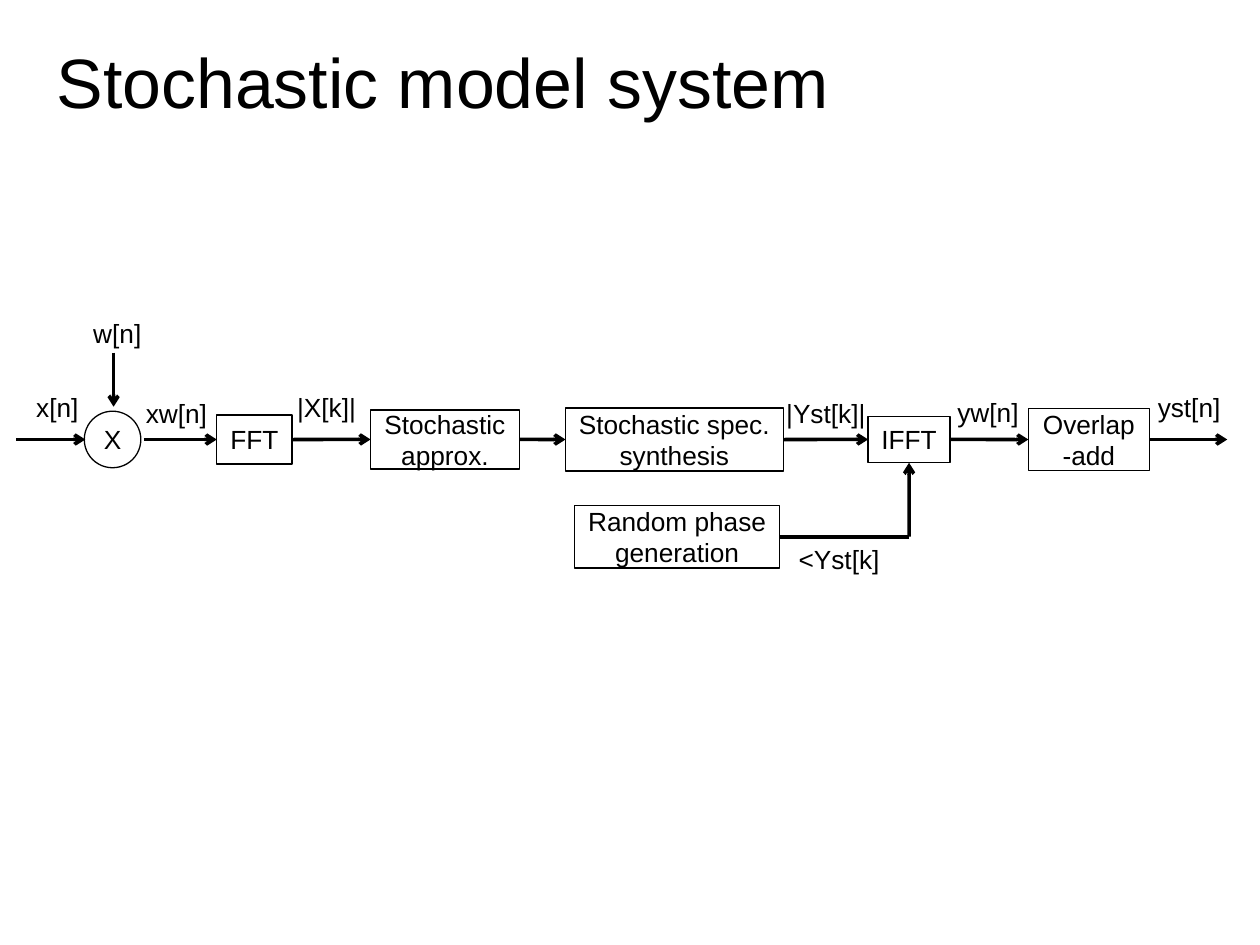
from dataclasses import dataclass

from lxml import etree
from pptx import Presentation
from pptx.dml.color import RGBColor
from pptx.enum.shapes import MSO_CONNECTOR, MSO_SHAPE
from pptx.enum.text import MSO_ANCHOR, MSO_AUTO_SIZE, PP_ALIGN
from pptx.oxml.ns import qn
from pptx.util import Cm, Pt

RECTANGLE = MSO_SHAPE.RECTANGLE
OVAL = MSO_SHAPE.OVAL
STRAIGHT = MSO_CONNECTOR.STRAIGHT
MIDDLE = MSO_ANCHOR.MIDDLE
CENTER = PP_ALIGN.CENTER
GROW = MSO_AUTO_SIZE.SHAPE_TO_FIT_TEXT
LEFT, BOTTOM, RIGHT = 1, 2, 3


@dataclass(frozen=True)
class Theme:
    font: str = "Arial"
    ink: RGBColor = RGBColor(0, 0, 0)
    title_size: Pt = Pt(39.9)
    body_size: Pt = Pt(15)
    hairline: Pt = Pt(0)


THEME = Theme()
SIGNAL_Y = 8.86
PHASE_Y = 10.82

STAGES = {
    "FFT": (4.37, SIGNAL_Y, 1.52, 0.99),
    "Stochastic approx.": (7.47, SIGNAL_Y, 3.0, 1.19),
    "Stochastic spec. synthesis": (11.4, SIGNAL_Y, 4.39, 1.27),
    "IFFT": (17.5, SIGNAL_Y, 1.65, 0.94),
    "Overlap-add": (20.73, SIGNAL_Y, 2.44, 1.24),
    "Random phase generation": (11.58, PHASE_Y, 4.14, 1.27),
}
SIGNALS = [
    ("w[n]", 1.63, 6.27, 1.5),
    ("x[n]", 0.48, 7.75, 1.37),
    ("xw[n]", 2.69, 7.87, 1.8),
    ("|X[k]|", 5.74, 7.75, 1.75),
    ("|Yst[k]|", 15.6, 7.87, 2.18),
    ("yw[n]", 19.05, 7.85, 1.8),
    ("yst[n]", 23.09, 7.75, 1.83),
    ("<Yst[k]", 15.85, 10.82, 2.24),
]


def set_margins(frame, horizontal, vertical):
    frame.margin_left = frame.margin_right = Cm(horizontal)
    frame.margin_top = frame.margin_bottom = Cm(vertical)


def write(frame, wording, size):
    paragraph = frame.paragraphs[0]
    paragraph.text = wording
    paragraph.font.name = THEME.font
    paragraph.font.size = size
    paragraph.font.color.rgb = THEME.ink
    return paragraph


def draw_outline(line):
    line.color.rgb = THEME.ink
    line.width = THEME.hairline


def add_stage(slide, wording, left, middle, width, height,
              outline=RECTANGLE, margins=(0.23, 0.1)):
    stage = slide.shapes.add_shape(
        outline, Cm(left), Cm(middle - height / 2), Cm(width), Cm(height))
    stage.shadow.inherit = False
    stage.fill.background()
    draw_outline(stage.line)
    frame = stage.text_frame
    frame.word_wrap = outline == RECTANGLE
    frame.vertical_anchor = MIDDLE
    set_margins(frame, *margins)
    write(frame, wording, THEME.body_size).alignment = CENTER
    return stage


def add_label(slide, wording, left, top, width):
    label = slide.shapes.add_textbox(Cm(left), Cm(top), Cm(width), Cm(0.86))
    frame = label.text_frame
    frame.word_wrap = False
    frame.auto_size = GROW
    set_margins(frame, 0.25, 0.13)
    write(frame, wording, THEME.body_size)


def add_title(slide, wording):
    title = slide.shapes.add_textbox(Cm(1.14), Cm(0.18), Cm(20.73), Cm(2.9))
    frame = title.text_frame
    frame.word_wrap = True
    frame.vertical_anchor = MIDDLE
    set_margins(frame, 0, 0)
    write(frame, wording, THEME.title_size)


def add_flow(slide, start, end, source=None, target=None, arrow=True):
    flow = slide.shapes.add_connector(
        STRAIGHT, *(Cm(length) for length in (*start, *end)))
    draw_outline(flow.line)
    if source:
        flow.begin_connect(*source)
    if target:
        flow.end_connect(*target)
    if arrow:
        tail = etree.SubElement(flow.line._get_or_add_ln(), qn("a:tailEnd"))
        tail.set("type", "arrow")
    etree.SubElement(flow._element.spPr, qn("a:effectLst"))


def add_signal_path(slide, stages):
    fft, approx, synthesis, ifft, overlap, phase = stages.values()
    ifft_x = 18.33
    chain = [fft, approx, synthesis, ifft, overlap]

    add_flow(slide, (0.33, SIGNAL_Y), (1.72, SIGNAL_Y))
    add_flow(slide, (2.29, 7.11), (2.29, 8.2))
    add_flow(slide, (2.9, SIGNAL_Y), (4.37, SIGNAL_Y), target=(fft, LEFT))
    for source, target in zip(chain, chain[1:]):
        add_flow(slide, (0, SIGNAL_Y), (1, SIGNAL_Y),
                 (source, RIGHT), (target, LEFT))
    add_flow(slide, (23.17, SIGNAL_Y), (24.74, SIGNAL_Y),
             source=(overlap, RIGHT))
    add_flow(slide, (15.72, PHASE_Y), (ifft_x, PHASE_Y),
             source=(phase, RIGHT), arrow=False)
    add_flow(slide, (ifft_x, PHASE_Y), (ifft_x, 9.33), target=(ifft, BOTTOM))


def main():
    presentation = Presentation()
    presentation.slide_width = Cm(25.4)
    presentation.slide_height = Cm(19.05)
    slide = presentation.slides.add_slide(presentation.slide_layouts[6])

    add_title(slide, "Stochastic model system")
    add_stage(slide, "X", 1.7, SIGNAL_Y, 1.14, 1.14, OVAL, (0, 0))
    stages = {wording: add_stage(slide, wording, *place)
              for wording, place in STAGES.items()}
    add_signal_path(slide, stages)
    for signal in SIGNALS:
        add_label(slide, *signal)

    presentation.save("out.pptx")


if __name__ == "__main__":
    main()
